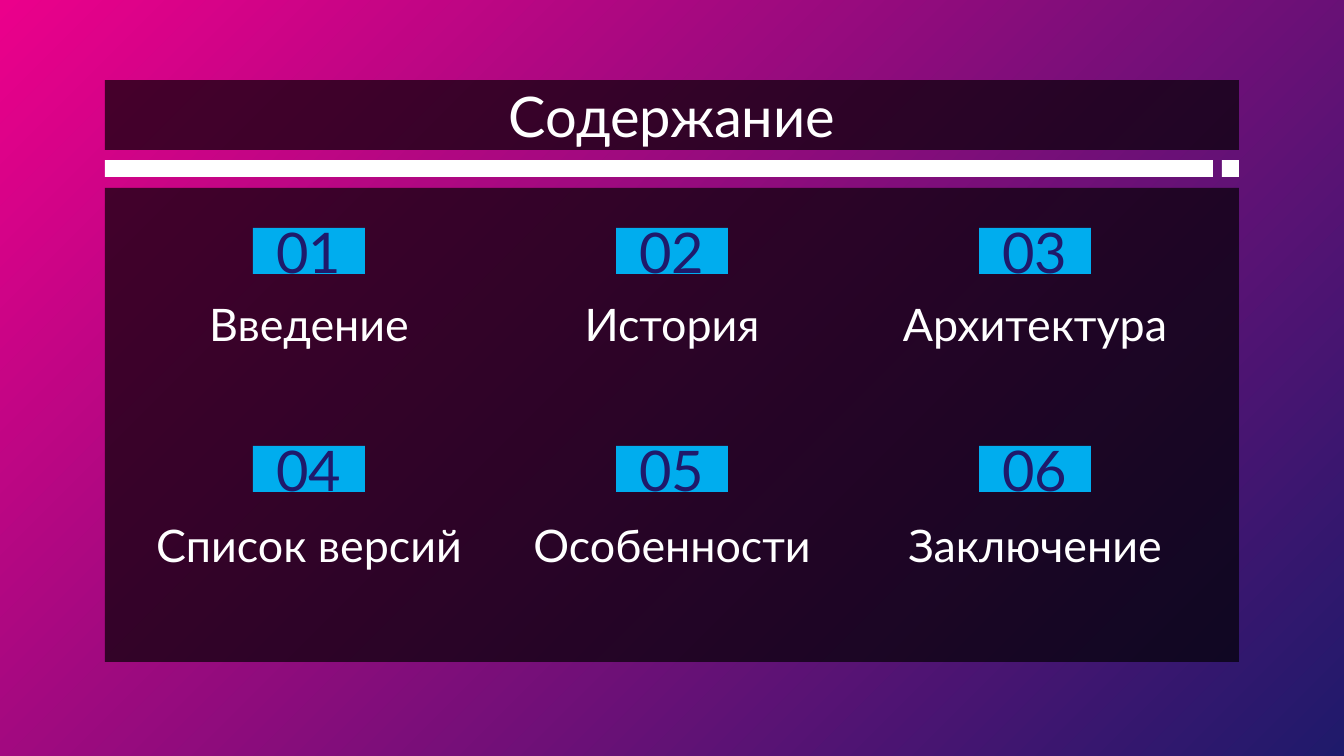
import pptx
import pptx.util
import pptx.dml.color
import pptx.enum.shapes
import pptx.enum.text
import pptx.oxml
import pptx.oxml.ns

# Content
HEADING = "Содержание"
SECTIONS = [
    ["Введение", "История", "Архитектура"],
    ["Список версий", "Особенности", "Заключение"],
]

# Style and geometry, in px
FONT = "Lato"
PINK, NAVY, CYAN, WHITE, BLACK = "EB008B", "1F1A6B", "00ADEE", "FFFFFF", "000000"
PANEL_OPACITY = 68
LEFT, WIDTH = 105, 1134
FIRST_CENTER, COLUMN_PITCH = 309, 363
NUMBER_WIDTH, NUMBER_HEIGHT, NUMBER_TOPS = 112, 46, (228, 446)
LABEL_WIDTH, LABEL_HEIGHT, LABEL_TOPS = 350, 64, (299, 521)
RULE_TOP, RULE_SIZE, RULE_GAP = 160, 17, 9


def px(value):
    return round(value * 914400 / 134.4)


def color(hex_string):
    return pptx.dml.color.RGBColor.from_string(hex_string)


def paint(shape, fill, opacity=100):
    shape.fill.solid()
    shape.fill.fore_color.rgb = color(fill)
    if opacity < 100:
        tint = shape.element.spPr.xpath("./a:solidFill/a:srgbClr")[0]
        alpha = pptx.oxml.parse_xml(
            f'<a:alpha {pptx.oxml.ns.nsdecls("a")} val="{opacity * 1000}"/>')
        tint.append(alpha)


def add_box(left, top, width, height, fill, opacity=100):
    box = slide.shapes.add_shape(
        pptx.enum.shapes.MSO_SHAPE.RECTANGLE, px(left), px(top), px(width), px(height))
    box.shadow.inherit = False
    box.line.fill.background()
    paint(box, fill, opacity)
    return box


def write(shape, text, size, text_color, anchor="MIDDLE"):
    frame = shape.text_frame
    frame.text = text
    frame.word_wrap = True
    frame.auto_size = pptx.enum.text.MSO_AUTO_SIZE.NONE
    frame.vertical_anchor = pptx.enum.text.MSO_ANCHOR[anchor]
    frame.margin_left = frame.margin_right = px(13)
    frame.margin_top = frame.margin_bottom = px(13)
    paragraph = frame.paragraphs[0]
    paragraph.alignment = pptx.enum.text.PP_ALIGN.CENTER
    font = paragraph.runs[0].font
    font.name, font.size = FONT, pptx.util.Pt(size)
    font.color.rgb = color(text_color)


deck = pptx.Presentation()
deck.slide_width, deck.slide_height = px(1344), px(756)
slide = deck.slides.add_slide(deck.slide_layouts.get_by_name("Title Only"))

# Background: circular gradient from the top left corner
backdrop = slide.background.fill
backdrop.gradient()
for stop, stop_color in zip(backdrop.gradient_stops, (PINK, NAVY)):
    stop.color.rgb = color(stop_color)
gradient = slide.element.xpath(".//p:bg//a:gradFill")[0]
for linear in gradient.xpath("./a:lin"):
    gradient.remove(linear)
gradient.append(pptx.oxml.parse_xml(
    f'<a:path {pptx.oxml.ns.nsdecls("a")} path="circle">'
    '<a:fillToRect r="100000" b="100000"/></a:path>'))

# Dark panel and heading
add_box(LEFT, 188, WIDTH, 474, BLACK, PANEL_OPACITY)
heading = slide.shapes.title
heading.left, heading.top = px(LEFT), px(80)
heading.width, heading.height = px(WIDTH), px(70)
paint(heading, BLACK, PANEL_OPACITY)
write(heading, HEADING, 30, WHITE)

# Rule with a square end
add_box(LEFT, RULE_TOP, WIDTH - RULE_SIZE - RULE_GAP, RULE_SIZE, WHITE)
add_box(LEFT + WIDTH - RULE_SIZE, RULE_TOP, RULE_SIZE, RULE_SIZE, WHITE)

# Numbered sections
for row, labels in enumerate(SECTIONS):
    for column, label in enumerate(labels):
        center = FIRST_CENTER + column * COLUMN_PITCH
        number = add_box(center - NUMBER_WIDTH / 2, NUMBER_TOPS[row],
                         NUMBER_WIDTH, NUMBER_HEIGHT, CYAN)
        write(number, f"{row * len(labels) + column + 1:02}", 30, NAVY)
        section = slide.shapes.add_textbox(
            px(center - LABEL_WIDTH / 2), px(LABEL_TOPS[row]),
            px(LABEL_WIDTH), px(LABEL_HEIGHT))
        write(section, label, 24, WHITE, "BOTTOM")

deck.save("out.pptx")
